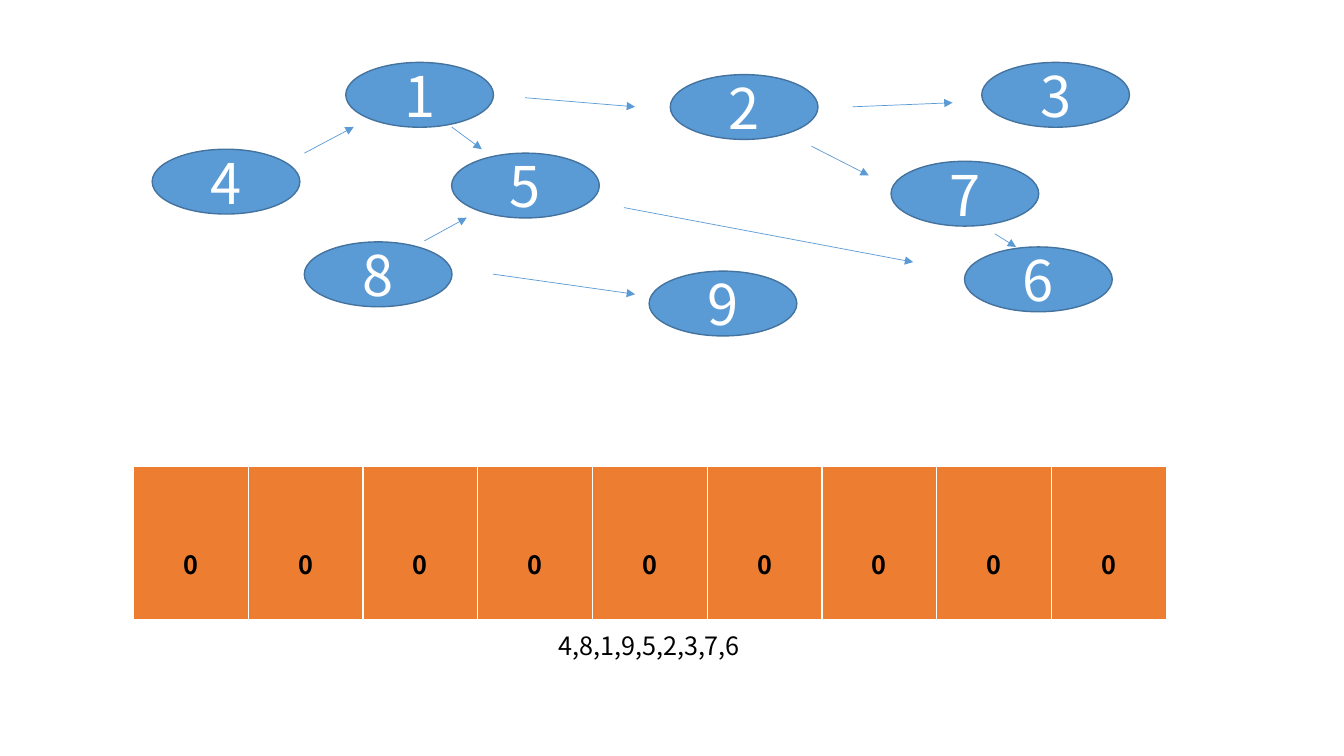
import pptx
import pptx.util
import pptx.dml.color
import pptx.enum.shapes
import pptx.enum.text
import pptx.oxml
import pptx.oxml.ns

Pt = pptx.util.Pt
RGBColor = pptx.dml.color.RGBColor
CENTER = pptx.enum.text.PP_ALIGN.CENTER
MIDDLE = pptx.enum.text.MSO_ANCHOR.MIDDLE

# Content: graph nodes (left, top), arrows (from, to), in-degrees, order
NODES = {
    "4": (108.7, 106.6), "5": (322.6, 109.4), "2": (478.8, 53.3),
    "9": (463.7, 193.7), "8": (217.4, 172.8), "3": (701.3, 44.6),
    "1": (247, 44.6), "7": (636.5, 115.2), "6": (689, 176.4),
}
ARROWS = [
    (217.4, 109.4, 252.7, 90.7),
    (322.6, 90.7, 344.2, 106.6),
    (375.1, 69.8, 453.6, 76.3),
    (579.6, 104.4, 620.6, 125.3),
    (609.1, 76.3, 680.4, 73.4),
    (710.6, 167, 725.8, 176.4),
    (303.1, 172.1, 333.4, 155.5),
    (352.1, 195.8, 453.6, 210.2),
    (445.7, 148.3, 652.3, 187.2),
]
IN_DEGREES = ["0"] * 9
ORDER = "4,8,1,9,5,2,3,7,6"

# Format
BLUE = RGBColor(0x5B, 0x9B, 0xD5)
DARK_BLUE = RGBColor(0x43, 0x73, 0x9E)
ORANGE = RGBColor(0xED, 0x7D, 0x31)
WHITE = RGBColor(0xFF, 0xFF, 0xFF)
BLACK = RGBColor(0, 0, 0)
FONT = "Noto Sans CJK KR"
NODE_TEXT = {"name": FONT, "size": Pt(40), "color": WHITE}
CELL_TEXT = {"name": FONT, "size": Pt(18), "bold": True, "color": BLACK}
ORDER_TEXT = {"name": FONT, "size": Pt(18), "color": BLACK}
NODE_W, NODE_H = 105.5, 46.3
TABLE_X, TABLE_Y, COL_W, ROW_H = 95.3, 333.4, 82, 110
BORDERS = {"lnL": 1, "lnR": 1, "lnT": 1, "lnB": 3}


def write(tf, text, fmt):
    p = tf.paragraphs[0]
    p.alignment = CENTER
    r = p.add_run()
    r.text = text
    for key, value in fmt.items():
        if key == "color":
            r.font.color.rgb = value
        else:
            setattr(r.font, key, value)
    return p


def add_xml(parent, body):
    ns = pptx.oxml.ns.nsdecls("a")
    tag, rest = body.split(" ", 1)
    parent.append(pptx.oxml.parse_xml(f"<{tag} {ns} {rest}"))


def add_node(shapes, label, x, y):
    s = shapes.add_shape(pptx.enum.shapes.MSO_SHAPE.OVAL,
                         Pt(x), Pt(y), Pt(NODE_W), Pt(NODE_H))
    s.shadow.inherit = False
    s.fill.solid()
    s.fill.fore_color.rgb = BLUE
    s.line.color.rgb = DARK_BLUE
    s.line.width = Pt(1)
    s.text_frame.vertical_anchor = MIDDLE
    write(s.text_frame, label, NODE_TEXT)


def add_arrow(shapes, *ends):
    s = shapes.add_connector(pptx.enum.shapes.MSO_CONNECTOR.STRAIGHT,
                             *[Pt(v) for v in ends])
    s.line.color.rgb = BLUE
    s.line.width = Pt(0.5)
    add_xml(s.line._get_or_add_ln(), 'a:tailEnd type="triangle"/>')
    add_xml(s._element.spPr, "a:effectLst />")


def add_degree_table(shapes):
    n = len(IN_DEGREES)
    table = shapes.add_table(1, n, Pt(TABLE_X), Pt(TABLE_Y),
                             Pt(COL_W * n), Pt(ROW_H)).table
    for col, cell, value in zip(table.columns, table.rows[0].cells, IN_DEGREES):
        col.width = Pt(COL_W)
        write(cell.text_frame, value, CELL_TEXT).line_spacing = 3.0
        # Borders come before the fill in the cell properties
        for side, width in BORDERS.items():
            add_xml(cell._tc.get_or_add_tcPr(),
                    f'a:{side} w="{Pt(width)}"><a:solidFill>'
                    f'<a:srgbClr val="{WHITE}"/></a:solidFill></a:{side}>')
        cell.fill.solid()
        cell.fill.fore_color.rgb = ORANGE


def main():
    prs = pptx.Presentation()
    prs.slide_width, prs.slide_height = Pt(960), Pt(540)
    sp = prs.slides.add_slide(prs.slide_layouts[6]).shapes

    # Graph
    graph = sp.add_group_shape().shapes
    for label, (x, y) in NODES.items():
        add_node(graph, label, x, y)
    for ends in ARROWS:
        add_arrow(graph, *ends)

    # In-degree table
    add_degree_table(sp)

    # Topological order
    tf = sp.add_textbox(Pt(81.4), Pt(446.4), Pt(764.6), Pt(29)).text_frame
    tf.word_wrap = True
    tf.auto_size = pptx.enum.text.MSO_AUTO_SIZE.SHAPE_TO_FIT_TEXT
    write(tf, ORDER, ORDER_TEXT)

    prs.save("out.pptx")


if __name__ == "__main__":
    main()
